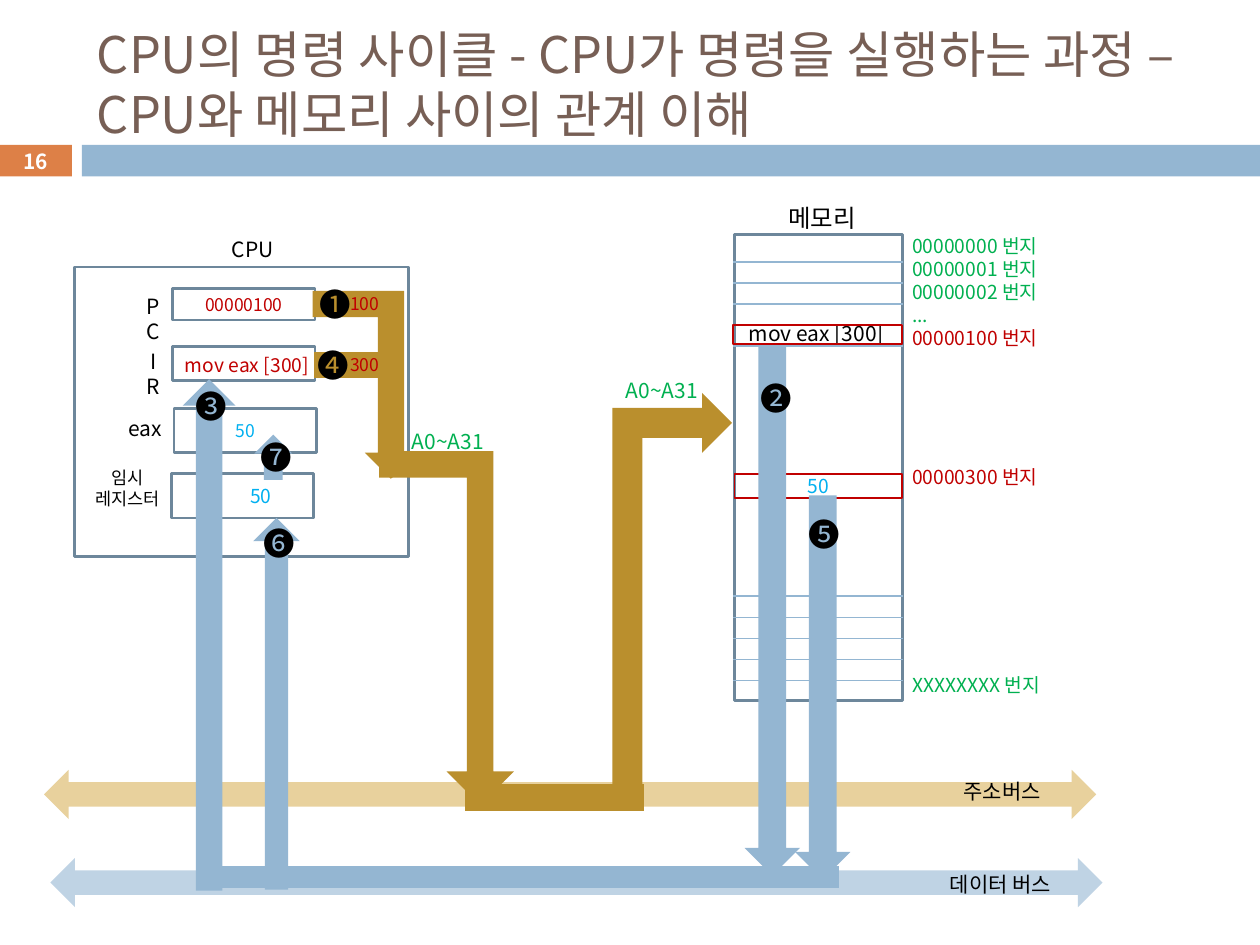
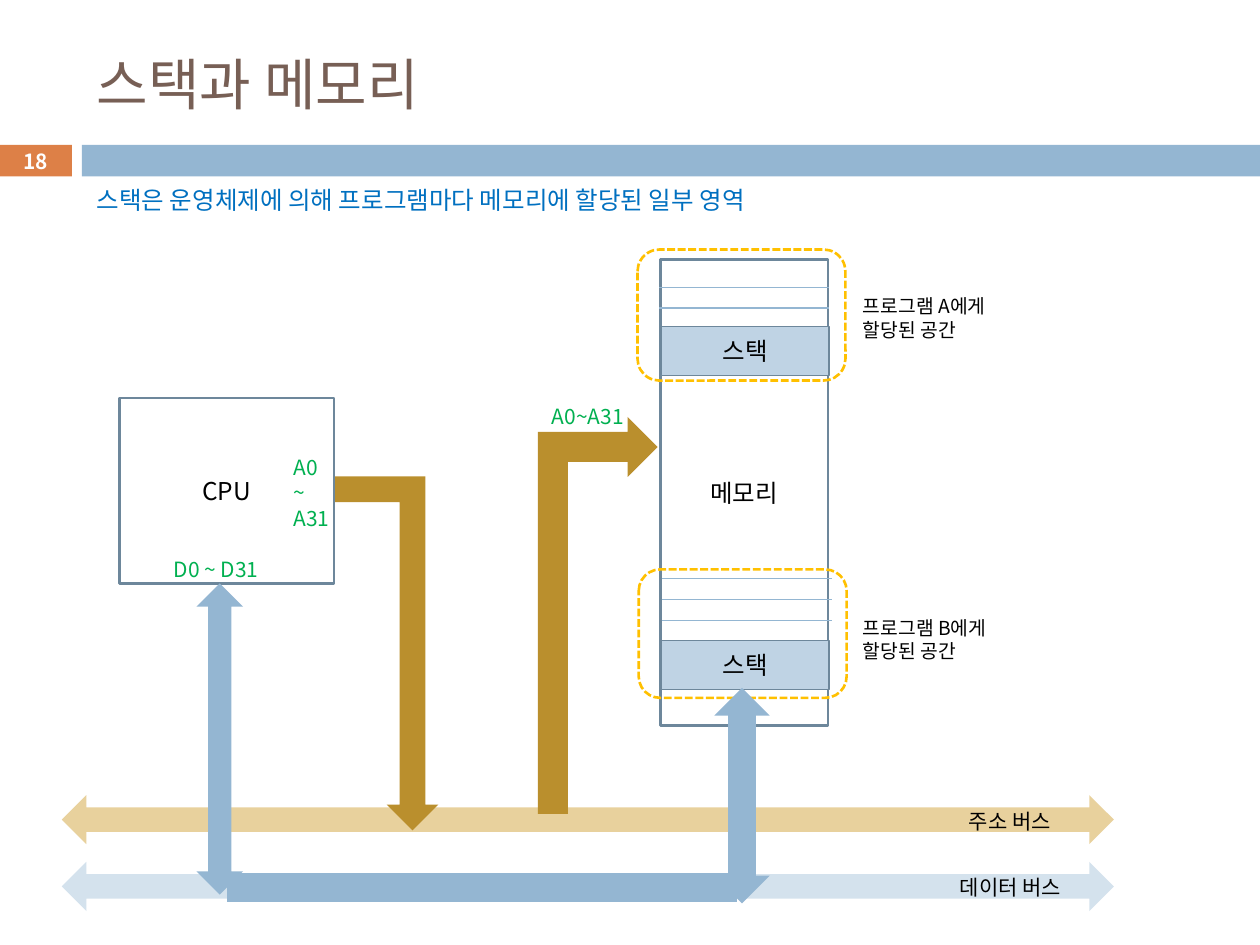
from lxml import etree
from pptx import Presentation
from pptx.dml.color import RGBColor
from pptx.enum.dml import MSO_LINE
from pptx.enum.shapes import MSO_CONNECTOR, MSO_SHAPE
from pptx.enum.text import MSO_ANCHOR, MSO_AUTO_SIZE, PP_ALIGN
from pptx.oxml.ns import qn
from pptx.util import Pt

RECT = MSO_SHAPE.RECTANGLE
BOX = MSO_SHAPE.FLOWCHART_PROCESS
ROUNDED = MSO_SHAPE.ROUNDED_RECTANGLE
BUS = MSO_SHAPE.LEFT_RIGHT_ARROW
BENT = MSO_SHAPE.BENT_UP_ARROW
UP = MSO_SHAPE.UP_ARROW
DOWN = MSO_SHAPE.DOWN_ARROW
UP_DOWN = MSO_SHAPE.UP_DOWN_ARROW
STRAIGHT = MSO_CONNECTOR.STRAIGHT
DASHED = MSO_LINE.SQUARE_DOT
MIDDLE = MSO_ANCHOR.MIDDLE
LEFT, CENTER = PP_ALIGN.LEFT, PP_ALIGN.CENTER
FIXED = MSO_AUTO_SIZE.NONE

FONT = "Noto Sans CJK KR"
BLACK, WHITE = "000000", "FFFFFF"
BROWN, ORANGE, SKY, SLATE = "775F55", "DD8047", "94B6D2", "6D879B"
GOLD, PALE_GOLD, PALE_SKY, PALER_SKY = "BA8F2D", "E8D19D", "BFD3E4", "D4E2ED"
GREEN, RED, CYAN, BLUE, YELLOW = "00B050", "C00000", "00B0F0", "0070C0", "FFC000"


def draw(slide, kind, box, fill=None, line=None, width=1.5, turn=0, flip=False):
    lengths = [Pt(value) for value in box]
    if kind is None:
        item = slide.shapes.add_textbox(*lengths)
        item.text_frame.word_wrap = True
        return item
    item = slide.shapes.add_shape(kind, *lengths)
    item.shadow.inherit = False
    if fill:
        item.fill.solid()
        item.fill.fore_color.rgb = RGBColor.from_string(fill)
    else:
        item.fill.background()
    if line:
        item.line.color.rgb = RGBColor.from_string(line)
        item.line.width = Pt(width)
    else:
        item.line.fill.background()
    item.rotation = turn
    if flip:
        item.element.spPr.xfrm.set("flipV", "1")
    return item


def write(item, text, size, color, align=LEFT, bold=False, gap=0):
    frame = item.text_frame
    for words in text.split("\n"):
        paragraph = frame.paragraphs[0]
        if paragraph.runs:
            paragraph = frame.add_paragraph()
        paragraph.alignment = align
        paragraph.line_spacing = Pt(round(size * 1.2, 1))
        paragraph.space_before = Pt(gap)
        run = paragraph.add_run()
        run.text = words
        run.font.size = Pt(size)
        run.font.bold = bold
        run.font.name = FONT
        run.font.color.rgb = RGBColor.from_string(color)
        east_asian = etree.SubElement(run.font._element, qn("a:ea"))
        east_asian.set("typeface", FONT)


deck = Presentation()
deck.slide_width, deck.slide_height = Pt(720), Pt(540)

pages = []
for number, heading, size in [
    ("16", "CPU의 명령 사이클 - CPU가 명령을 실행하는 과정 – CPU와 메모리 사이의 관계 이해", 28.8),
    ("18", "스택과 메모리", 32),
]:
    slide = deck.slides.add_slide(deck.slide_layouts[5])
    title = slide.shapes.title
    title.left, title.top, title.width, title.height = Pt(48.2), Pt(18), Pt(642.2), Pt(59)
    title.text_frame.auto_size = FIXED
    title.text_frame.vertical_anchor = MIDDLE
    title.text_frame.margin_right = 0
    write(title, heading, size, BROWN)
    badge = draw(slide, RECT, (-0.7, 82.8, 41.8, 18), ORANGE)
    write(badge, number, 11.9, WHITE, CENTER, bold=True)
    draw(slide, RECT, (46.8, 82.8, 673.2, 18), SKY)
    pages.append(slide)
cycle, stack = pages

for slide, left, top, color in [
    (cycle, 28.8, 490.3, PALE_SKY),
    (cycle, 25.2, 439.9, PALE_GOLD),
    (stack, 35.3, 454.3, PALE_GOLD),
    (stack, 35.3, 492.5, PALER_SKY),
]:
    draw(slide, BUS, (left, top, 601.2, 28.1), color)

for slide, box, caption in [
    (cycle, (42.5, 152.6, 190.8, 165.6), ""),
    (cycle, (419.8, 133.9, 95.8, 266.4), ""),
    (stack, (68.4, 227.5, 122.4, 105.8), "CPU"),
    (stack, (377.3, 148.3, 95.8, 266.4), "메모리"),
]:
    unit = draw(slide, BOX, box, line=SLATE)
    if caption:
        write(unit, caption, 14, BLACK, CENTER)

for slide, left, first, step, count in [
    (cycle, 419, 149.8, 12, 5),
    (cycle, 419, 340.6, 12.1, 5),
    (stack, 376.6, 164.2, 11.8, 2),
    (stack, 378, 330.5, 12.1, 3),
]:
    for row in range(count):
        y = Pt(first + row * step)
        cell_edge = slide.shapes.add_connector(STRAIGHT, Pt(left), y, Pt(left + 97.2), y)
        cell_edge.line.color.rgb = RGBColor.from_string(SKY)
        cell_edge.line.width = Pt(0.79)
        etree.SubElement(cell_edge.element.spPr, qn("a:effectLst"))

for left, top, width, height, value, size, color, indent in [
    (98.6, 164.9, 81.4, 18, "00000100", 10, RED, 7.2),
    (98.6, 198, 81.4, 19.4, "", 11, RED, 7.2),
    (99.4, 233.3, 81.4, 25.2, "50", 10, CYAN, 7.2),
    (97.9, 270.7, 81.4, 25.2, "50", 11, CYAN, 28),
]:
    register = draw(cycle, BOX, (left, top, width, height), line=SLATE)
    register.text_frame.margin_left = Pt(indent)
    if value:
        write(register, value, size, color, CENTER)

for slide, box, turn, thickness in [
    (cycle, (216.7, 257.8, 77, 202.3), 0, 0.197),
    (cycle, (270.7, 303.8, 226.8, 68.4), 270, 0.25),
    (cycle, (178.6, 166.3, 59.8, 107.3), 0, 0.25),
    (stack, (191.5, 272.2, 59, 202.3), 0, 0.25),
    (stack, (228.2, 317.5, 226.8, 68.4), 270, 0.25),
]:
    address_path = draw(slide, BENT, box, GOLD, turn=turn, flip=True)
    address_path.adjustments[0] = thickness
draw(cycle, BOX, (265.7, 447.8, 102.2, 15.8), GOLD)
draw(cycle, BOX, (179.3, 200.9, 41, 15.1), GOLD)

for box, value, size, color, line in [
    ((418.3, 182.2, 96.5, 16.6), "mov eax [300]", 12, BLACK, None),
    ((92.9, 200.2, 96.5, 16.6), "mov eax [300]", 11, RED, None),
    ((419.8, 270.7, 95.8, 13.7), "50", 11, CYAN, RED),
]:
    write(draw(cycle, BOX, box, line=line, width=1), value, size, color, CENTER)

for box, color, width in [
    ((378, 186.5, 95.8, 28.1), SLATE, 0.75),
    ((378, 365.8, 95.8, 28.1), SLATE, 0.75),
]:
    write(draw(stack, BOX, box, PALE_SKY, color, width), "스택", 14, BLACK, CENTER)

for box in [(364.3, 142.6, 118.8, 74.9), (365, 325.4, 118.8, 73.4)]:
    draw(stack, ROUNDED, box, line=YELLOW).line.dash_style = DASHED

for slide, kind, box in [
    (cycle, UP, (145.4, 248.4, 21.6, 25.9)),
    (cycle, DOWN, (425.5, 198, 31.7, 302.4)),
    (cycle, UP, (104.4, 216.7, 30.2, 292.3)),
    (cycle, DOWN, (454.3, 283, 31.7, 219.6)),
    (cycle, UP, (144.7, 295.9, 26.6, 212.4)),
    (cycle, BOX, (112.3, 494.6, 367.2, 13)),
    (stack, UP_DOWN, (408.2, 393.1, 31.7, 123.1)),
    (stack, UP_DOWN, (112.3, 333.4, 26.6, 177.8)),
    (stack, BOX, (129.6, 499, 291.6, 16.6)),
]:
    draw(slide, kind, box, SKY)
draw(cycle, RECT, (419, 185.8, 96.5, 10.8), line=RED, width=1)

for step, left, top in [
    ("❶", 175.7, 159.1),
    ("❷", 427.7, 213.1),
    ("❸", 104.4, 217.4),
    ("❹", 174.2, 194.4),
    ("❺", 455, 290.9),
    ("❻", 143.3, 295.9),
    ("❼", 141.8, 247),
]:
    marker = draw(cycle, None, (left, top, 31, 28.8))
    marker.text_frame.word_wrap = False
    write(marker, step, 18, BLACK)

addresses = draw(cycle, None, (514.1, 130.3, 107.3, 273.6))
for address, color, skipped_rows in [
    ("00000000 번지", GREEN, 0),
    ("00000001 번지", GREEN, 0),
    ("00000002 번지", GREEN, 0),
    ("...", GREEN, 0),
    ("00000100 번지", RED, 0),
    ("00000300 번지", RED, 5),
    ("XXXXXXXX 번지", GREEN, 8),
]:
    write(addresses, address, 11, color, gap=skipped_rows * 13.2)

for slide, box, label, size, color, align in [
    (cycle, (543.6, 441.4, 72, 21.6), "주소버스", 12, BLACK, LEFT),
    (cycle, (535.7, 494.6, 85, 21.6), "데이터 버스", 12, BLACK, LEFT),
    (cycle, (228.2, 241.2, 64.1, 21.6), "A0~A31", 12, GREEN, LEFT),
    (cycle, (350.6, 212.4, 58.3, 21.6), "A0~A31", 12, GREEN, LEFT),
    (cycle, (125.3, 131.8, 39.6, 21.6), "CPU", 12, BLACK, LEFT),
    (cycle, (441.4, 112.3, 56.9, 24.5), "메모리", 14, BLACK, CENTER),
    (cycle, (74.7, 164.2, 25.5, 36), "PC", 12, BLACK, CENTER),
    (cycle, (75.9, 195.8, 23.2, 36), "IR", 12, BLACK, CENTER),
    (cycle, (64.8, 234, 36, 21.6), "eax", 12, BLACK, CENTER),
    (cycle, (36.7, 263.5, 72.7, 31.7), "임시\n레지스터", 10, BLACK, CENTER),
    (cycle, (193, 164.2, 32.4, 19.4), "100", 10, RED, LEFT),
    (cycle, (193, 198.7, 32.4, 19.4), "300", 10, RED, LEFT),
    (stack, (48.2, 102.2, 430.6, 24.5),
     "스택은 운영체제에 의해 프로그램마다 메모리에 할당된 일부 영역", 14, BLUE, LEFT),
    (stack, (546.5, 458.6, 73.4, 21.6), "주소 버스", 12, BLACK, LEFT),
    (stack, (541.4, 496.1, 85, 21.6), "데이터 버스", 12, BLACK, LEFT),
    (stack, (160.6, 256.3, 43.2, 51.1), "A0\n~\nA31", 12, GREEN, LEFT),
    (stack, (308.2, 226.8, 58.3, 21.6), "A0~A31", 12, GREEN, LEFT),
    (stack, (92.2, 314.6, 74.2, 21.6), "D0 ~ D31", 12, GREEN, LEFT),
    (stack, (486, 164.9, 100, 33.8), "프로그램 A에게\n할당된 공간", 11, BLACK, LEFT),
    (stack, (486, 348.5, 100, 33.8), "프로그램 B에게\n할당된 공간", 11, BLACK, LEFT),
]:
    write(draw(slide, None, box), label, size, color, align)

deck.save("out.pptx")
